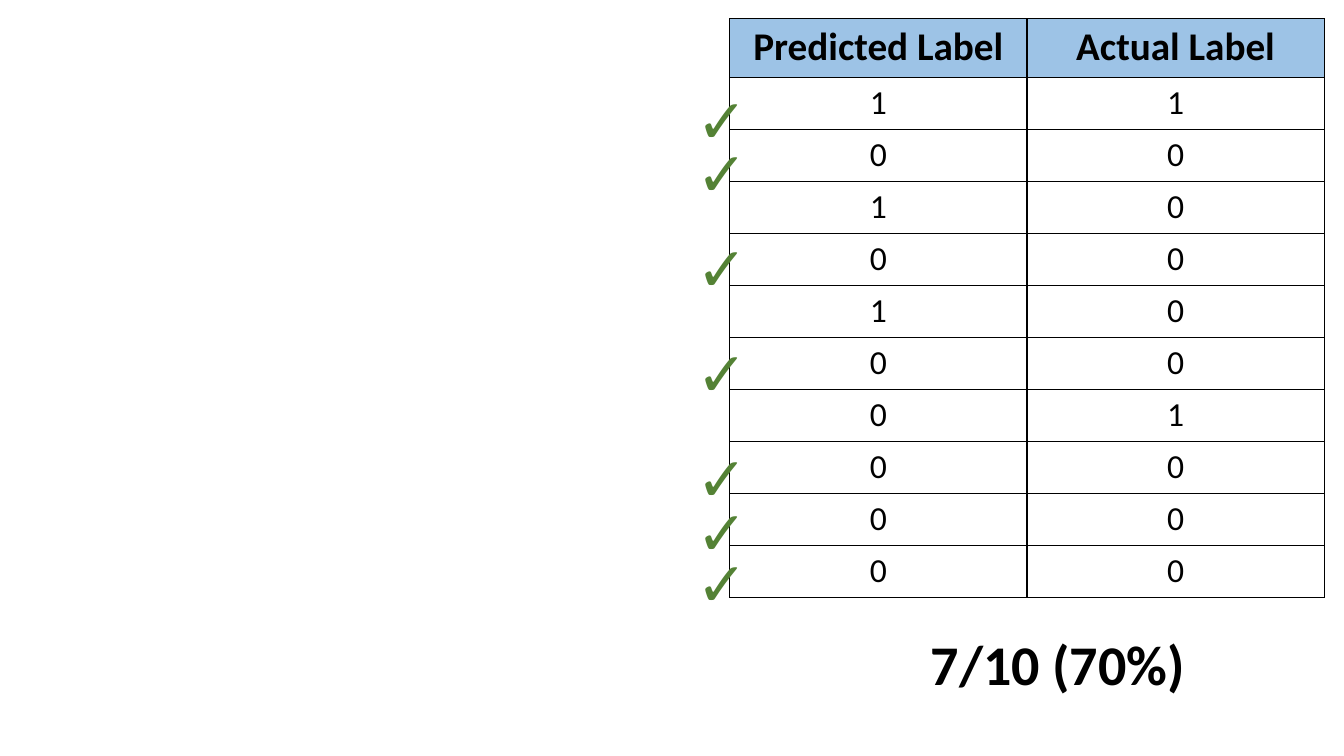
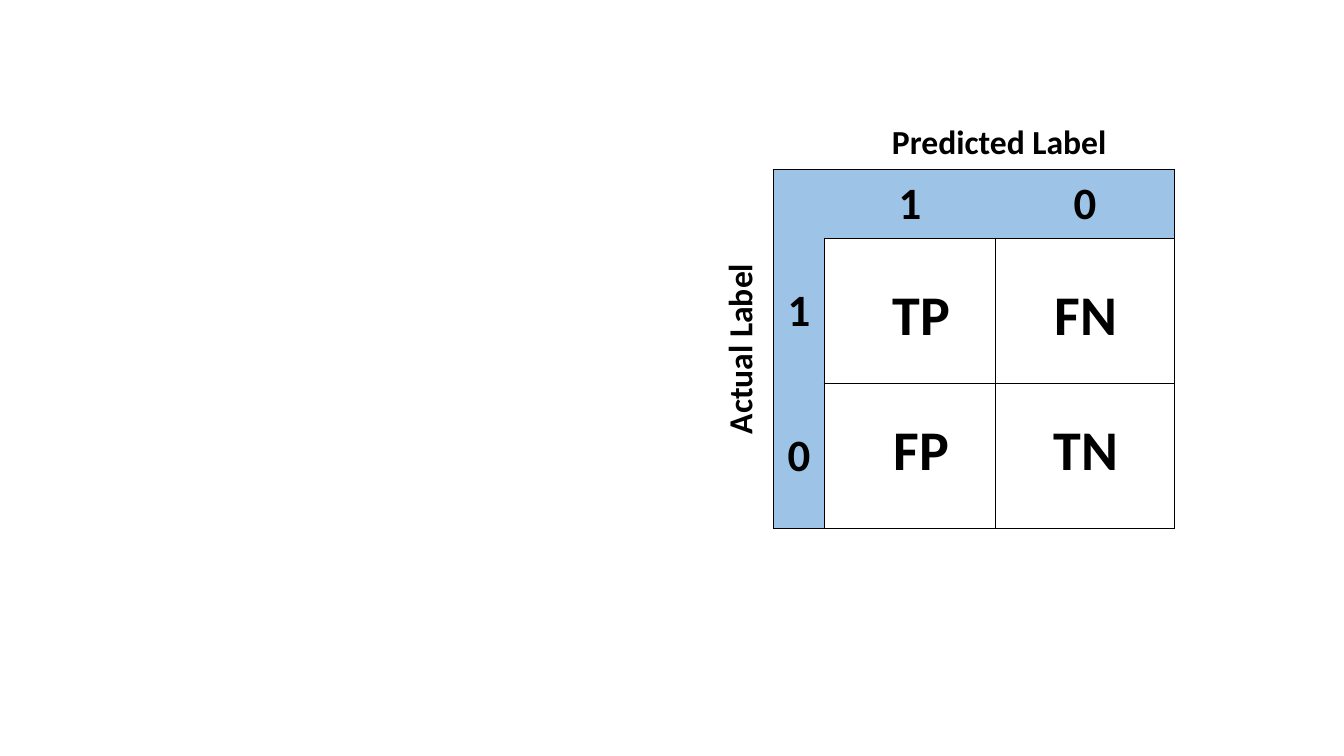
"""Build two slides on accuracy and the confusion matrix."""
from lxml import etree
from pptx import Presentation, util as u
from pptx.dml.color import RGBColor
from pptx.enum import text
from pptx.oxml import ns

COLOURS = {"ink": "000000", "header": "9DC3E6", "tick": "548235"}
FONT = "Calibri"


def add_text(slide, words, left, top, width, size, colour="ink"):
    """Add a centred bold text box, in centimetres."""
    box = slide.shapes.add_textbox(u.Cm(left), u.Cm(top), u.Cm(width), u.Cm(1.96))
    box.text_frame.word_wrap = False
    paragraph = box.text_frame.paragraphs[0]
    paragraph.text = words
    paragraph.alignment = text.PP_ALIGN.CENTER
    paragraph.font.name = FONT
    paragraph.font.size = u.Pt(size)
    paragraph.font.bold = True
    paragraph.font.color.rgb = RGBColor.from_string(COLOURS[colour])


def style_cell(cell, words, size, bold=True, filled=False, sides="LRTB"):
    """Write a table cell and draw the borders named in sides."""
    paragraph = cell.text_frame.paragraphs[0]
    paragraph.text = words
    paragraph.alignment = text.PP_ALIGN.CENTER
    paragraph.font.name = FONT
    paragraph.font.size = u.Pt(size)
    paragraph.font.bold = bold
    paragraph.font.color.rgb = RGBColor.from_string(COLOURS["ink"])
    if filled:
        cell.fill.solid()
        cell.fill.fore_color.rgb = RGBColor.from_string(COLOURS["header"])
    else:
        cell.fill.background()
    properties = cell._tc.get_or_add_tcPr()
    for position, side in enumerate("LRTB"):
        line = etree.Element(ns.qn(f"a:ln{side}"), w=str(u.Pt(1)))
        if side in sides:
            solid = etree.SubElement(line, ns.qn("a:solidFill"))
            etree.SubElement(solid, ns.qn("a:srgbClr"), val=COLOURS["ink"])
        else:
            etree.SubElement(line, ns.qn("a:noFill"))
        properties.insert(position, line)


presentation = Presentation()
presentation.slide_width = u.Cm(33.87)
presentation.slide_height = u.Cm(19.05)
blank = presentation.slide_layouts[6]
accuracy_slide = presentation.slides.add_slide(blank)
matrix_slide = presentation.slides.add_slide(blank)

tables = []
for slide, left, top, widths, heights in [
    (accuracy_slide, 18.39, 0.47, [7.49] * 2, [1.49] + [1.31] * 10),
    (matrix_slide, 18.03, 2.95, [1.47, 1.27, 4.32, 4.5], [1.32, 1.73, 3.66, 3.66]),
]:
    frame = slide.shapes.add_table(
        len(heights), len(widths), u.Cm(left), u.Cm(top),
        u.Cm(sum(widths)), u.Cm(sum(heights)))
    table = frame.table
    table.first_row = False
    table.horz_banding = False
    for column, width in zip(table.columns, widths):
        column.width = u.Cm(width)
    for row, height in zip(table.rows, heights):
        row.height = u.Cm(height)
    tables.append(table)
labels_table, matrix_table = tables

for column, (heading, labels) in enumerate([
    ("Predicted Label", "1010100000"),
    ("Actual Label", "1000001000"),
]):
    style_cell(labels_table.cell(0, column), heading, 28, filled=True)
    for row, label in enumerate(labels, 1):
        style_cell(labels_table.cell(row, column), label, 24, bold=False)

for tick_top in [1.93, 3.28, 5.66, 8.31, 10.95, 12.32, 13.61]:
    add_text(accuracy_slide, "✓", 17.3, tick_top, 1.14, 44, "tick")
add_text(accuracy_slide, "7/10 (70%)", 23.16, 15.75, 7, 40)

matrix_cells = [
    [("", ""), ("", ""), ("Predicted Label", "B"), ("", "B")],
    [("Actual Label", "R"), ("", "LT"), ("1", "TB"), ("0", "TRB")],
    [("", "R"), ("1", "LR"), ("", "LRTB"), ("", "LRTB")],
    [("", "R"), ("0", "LRB"), ("", "LRTB"), ("", "LRTB")],
]
for row, cells in enumerate(matrix_cells):
    for column, (words, sides) in enumerate(cells):
        cell = matrix_table.cell(row, column)
        filled = min(row, column) == 1
        style_cell(cell, words, 32 if filled else 24, filled=filled, sides=sides)
        cell.vertical_anchor = text.MSO_ANCHOR.MIDDLE
for first, last in [((0, 0), (0, 1)), ((0, 2), (0, 3)), ((1, 0), (3, 0))]:
    matrix_table.cell(*first).merge(matrix_table.cell(*last))
matrix_table.cell(1, 0)._tc.get_or_add_tcPr().set("vert", "vert270")

for top, outcomes in [(6.91, ["TP", "FN"]), (10.31, ["FP", "TN"])]:
    for column, outcome in enumerate(outcomes):
        add_text(matrix_slide, outcome, 22.14 + column * 4.15, top, 2.16, 40)

presentation.save("out.pptx")
